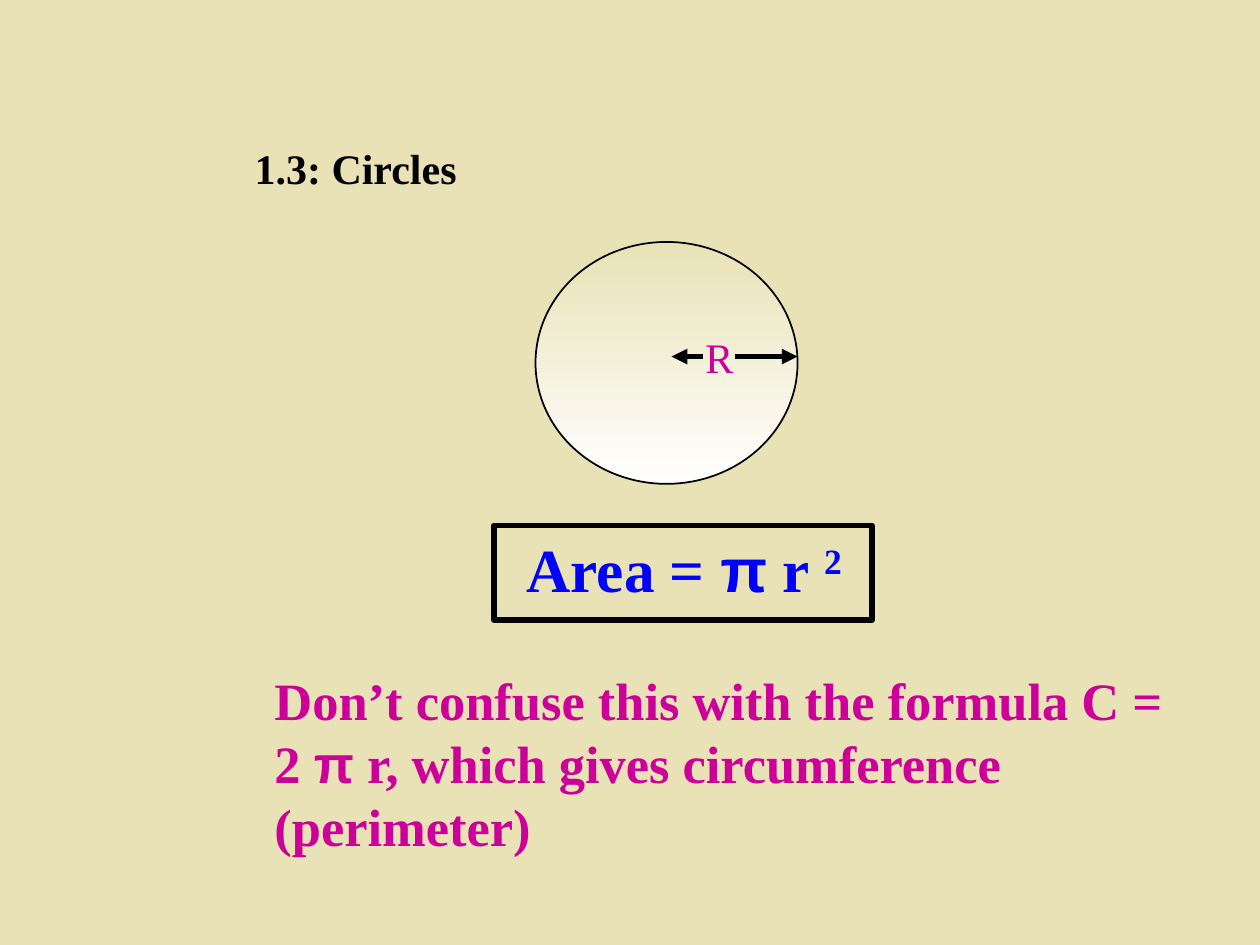
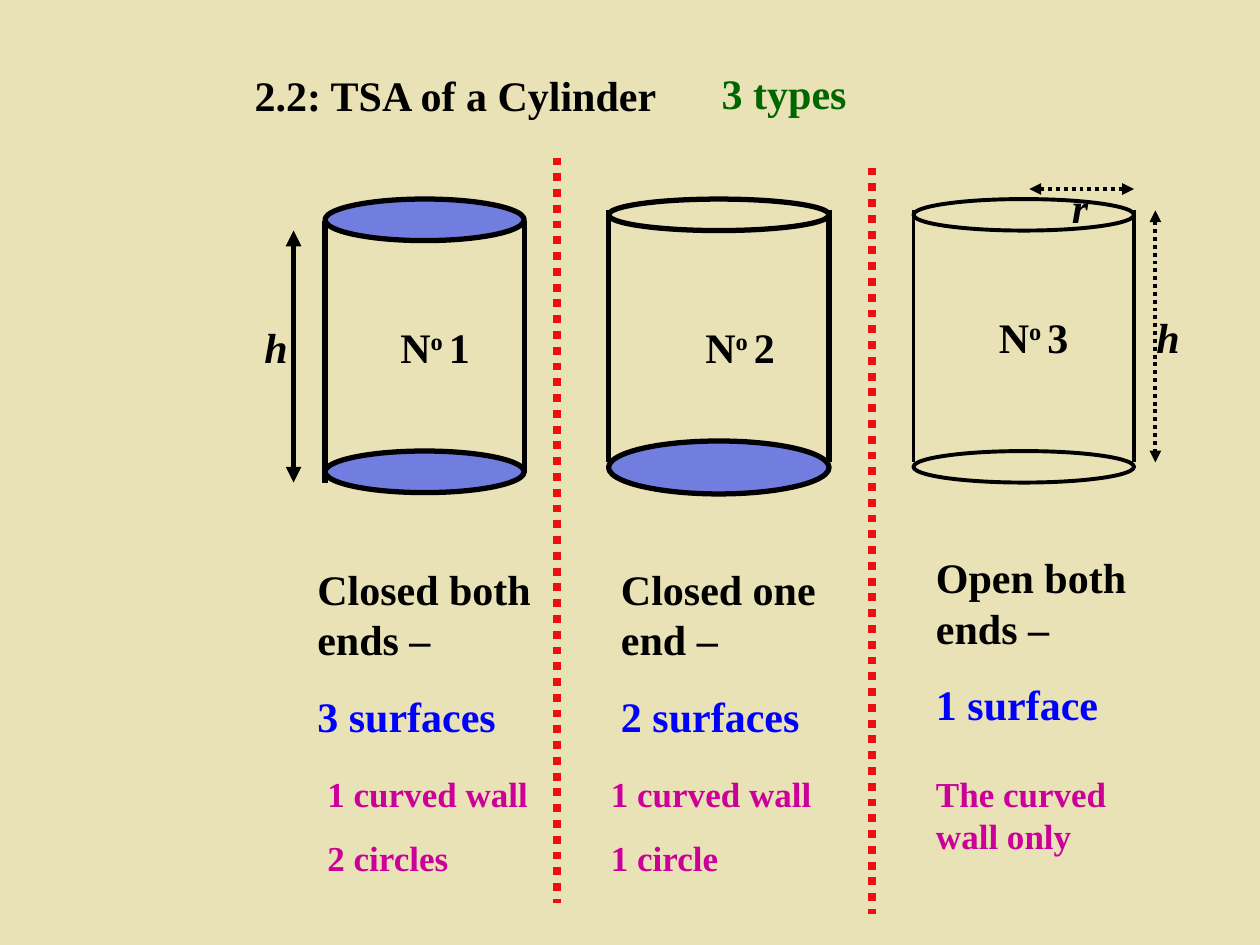
import dataclasses

import pptx
import pptx.dml.color
import pptx.enum.dml
import pptx.enum.shapes
import pptx.enum.text
import pptx.oxml.ns
import pptx.util
from lxml import etree

Inches = pptx.util.Inches
Pt = pptx.util.Pt

SERIF = "Times New Roman"
SAND = "E9E2B6"
BLACK = "000000"
WHITE = "FFFFFF"
BLUE = "0000FF"
MAGENTA = "CC0099"
GREEN = "006600"
RED = "ED0F0F"
LID = "727DE0"


@dataclasses.dataclass
class Span:
    """A stretch of text with its own look."""
    text: str
    size: float = 24
    color: str = BLACK
    font: str = SERIF
    bold: bool = True
    italic: bool = False
    raised: bool = False


@dataclasses.dataclass
class Cylinder:
    """One type of cylinder, its measures and its column of text."""
    number: str
    left: float
    width: float
    lid: tuple
    base: tuple
    wall_top: float
    wall_ends: tuple
    weight: float
    label_at: tuple
    caption_at: tuple
    caption: str
    surfaces: str
    detail_left: float
    details: tuple


CYLINDERS = [
    Cylinder("1", 2.58, 1.58, (1.58, 0.33, LID), (3.58, 0.33, LID), 1.75, (3.83, 3.75), 3,
             (0.5, 2.5), (2.42, 4.42), "Closed both ends –", "3 surfaces",
             2.5, ("1 curved wall", "2 circles")),
    Cylinder("2", 4.83, 1.75, (1.58, 0.25, None), (3.5, 0.42, LID), 1.67, (3.67, 3.67), 3,
             (0.67, 2.5), (4.83, 4.42), "Closed one end –", "2 surfaces",
             4.75, ("1 curved wall", "1 circle")),
    Cylinder("3", 7.25, 1.75, (1.58, 0.25, None), (3.58, 0.25, None), 1.67, (3.67, 3.67), 2.25,
             (0.58, 2.42), (7.33, 4.33), "Open both ends –", "1 surface",
             7.33, ("The curved wall only",)),
]


def rgb(color):
    """Turn a hex string into a colour."""
    return pptx.dml.color.RGBColor.from_string(color)


def fill_text(frame, paras, space=15):
    """Write paragraphs, each a list of spans, into a text frame."""
    frame.word_wrap = True
    frame.auto_size = pptx.enum.text.MSO_AUTO_SIZE.NONE
    frame.vertical_anchor = pptx.enum.text.MSO_ANCHOR.TOP
    for index, spans in enumerate(paras):
        para = frame.add_paragraph() if index else frame.paragraphs[0]
        para.alignment = pptx.enum.text.PP_ALIGN.LEFT
        para.space_before = Pt(space if index else 0)
        for span in spans:
            run = para.add_run()
            run.text = span.text
            run.font.name = span.font
            run.font.size = Pt(span.size)
            run.font.bold = span.bold
            run.font.italic = span.italic
            run.font.color.rgb = rgb(span.color)
            if span.raised:
                run._r.get_or_add_rPr().set("baseline", "30000")


def add_text(page, box, paras, space=15):
    """Add a text box."""
    shape = page.shapes.add_textbox(*map(Inches, box))
    fill_text(shape.text_frame, paras, space)


def add_outline(page, kind, box, weight, fill=None):
    """Add a black-edged preset shape, filled or open."""
    shape = page.shapes.add_shape(kind, *map(Inches, box))
    shape.shadow.inherit = False
    shape.line.color.rgb = rgb(BLACK)
    shape.line.width = Pt(weight)
    if fill:
        shape.fill.solid()
        shape.fill.fore_color.rgb = rgb(fill)
    else:
        shape.fill.background()
    return shape


def add_line(page, start, end, weight, color=BLACK, dotted=False, arrows=()):
    """Add a straight line with arrowheads at the ends named in arrows."""
    line = page.shapes.add_connector(
        pptx.enum.shapes.MSO_CONNECTOR.STRAIGHT, *map(Inches, start + end))
    line.line.color.rgb = rgb(color)
    line.line.width = Pt(weight)
    if dotted:
        line.line.dash_style = pptx.enum.dml.MSO_LINE.ROUND_DOT
    for arrow in arrows:
        etree.SubElement(line.line._get_or_add_ln(),
                         pptx.oxml.ns.qn("a:" + arrow), type="triangle")
    etree.SubElement(line._element.spPr, pptx.oxml.ns.qn("a:effectLst"))


def add_page(deck, title, box):
    """Add a page with a formatted title placeholder."""
    page = deck.slides.add_slide(deck.slide_layouts[5])
    holder = page.shapes.title
    holder.left, holder.top, holder.width, holder.height = map(Inches, box)
    fill_text(holder.text_frame, [[Span(title)]])
    return page


def draw_circle(page, box):
    """Draw the shaded circle with its radius arrow."""
    left, top, width, height = box
    circle = add_outline(page, pptx.enum.shapes.MSO_SHAPE.OVAL, box, 1)
    circle.fill.gradient()
    circle.fill.gradient_angle = 270
    for stop, color in zip(circle.fill.gradient_stops, (SAND, WHITE)):
        stop.color.rgb = rgb(color)
    right, middle = left + width, top + 0.91
    add_text(page, (left + 1.25, top + 0.66, 0.5, 0.5),
             [[Span("R", color=MAGENTA, bold=False)]])
    for start, end in ((right - 0.5, right), (right - 0.75, right - 1)):
        add_line(page, (start, middle), (end, middle), 3, arrows=["tailEnd"])


def draw_formula(page, box):
    """Draw the framed area formula."""
    left, top, width, height = box
    look = dict(size=35, color=BLUE)
    add_text(page, (left + 0.16, top, width + 0.08, height - 0.06), [[
        Span("Area = ", **look), Span("π", font="Arial", **look),
        Span(" r ", **look), Span("2", raised=True, **look)]])
    add_outline(page, pptx.enum.shapes.MSO_SHAPE.RECTANGLE, box, 3.25)


def draw_cylinder(page, item):
    """Draw a cylinder with its number."""
    for top, height, fill in (item.lid, item.base):
        add_outline(page, pptx.enum.shapes.MSO_SHAPE.OVAL,
                    (item.left, top, item.width, height), item.weight, fill)
    for side, bottom in zip((item.left, item.left + item.width), item.wall_ends):
        add_line(page, (side, item.wall_top), (side, bottom), item.weight)
    offset, top = item.label_at
    add_text(page, (item.left + offset, top, 0.83, 0.5),
             [[Span("N"), Span("o ", raised=True), Span(item.number)]])


def write_column(page, item):
    """Write the caption and surface list under a cylinder."""
    add_text(page, item.caption_at + (2.08, 1.51),
             [[Span(item.caption)], [Span(item.surfaces, color=BLUE)]])
    add_text(page, (item.detail_left, 6.08, 1.92, 0.94),
             [[Span(detail, size=20, color=MAGENTA)] for detail in item.details], 12.5)


def draw_measure(page, letter, label_at, start, end, weight, dotted):
    """Draw a two-headed measure arrow and its letter."""
    add_text(page, label_at + (0.67, 0.5), [[Span(letter, italic=True)]])
    add_line(page, start, end, weight, dotted=dotted, arrows=["headEnd", "tailEnd"])


def build_circles(deck):
    """Build the page on the area of a circle."""
    page = add_page(deck, "1.3: Circles", (1.92, 1.08, 7.17, 0.5))
    draw_circle(page, (4.25, 1.92, 2.08, 1.92))
    draw_formula(page, (3.92, 4.17, 3, 0.75))
    look = dict(size=30, color=MAGENTA)
    add_text(page, (2.08, 5.25, 7.33, 1.6), [[
        Span("Don’t confuse this with the formula C = 2 ", **look),
        Span("π", font="Arial", **look),
        Span(" r, which gives circumference (perimeter)", **look)]])


def build_cylinders(deck):
    """Build the page on the three types of cylinder."""
    page = add_page(deck, "2.2: TSA of a Cylinder", (1.92, 0.5, 4, 0.5))
    add_text(page, (5.63, 0.49, 2.36, 0.5), [[Span("3 types", color=GREEN)]])
    for left, top in ((4.42, 1.25), (6.92, 1.33)):
        add_line(page, (left, top), (left, top + 5.92), 4.5, RED, dotted=True)
    for item in CYLINDERS:
        draw_cylinder(page, item)
        write_column(page, item)
    draw_measure(page, "h", (2, 2.5), (2.33, 1.83), (2.33, 3.83), 3, False)
    draw_measure(page, "h", (9.08, 2.42), (9.17, 1.67), (9.17, 3.67), 2.25, True)
    draw_measure(page, "r", (8.41, 1.39), (8.17, 1.5), (9, 1.5), 2.25, True)


def main():
    """Build and save the deck."""
    deck = pptx.Presentation()
    deck.slide_width, deck.slide_height = Inches(10), Inches(7.5)
    backdrop = deck.slide_master.background.fill
    backdrop.solid()
    backdrop.fore_color.rgb = rgb(SAND)
    build_circles(deck)
    build_cylinders(deck)
    deck.save("out.pptx")


if __name__ == "__main__":
    main()
